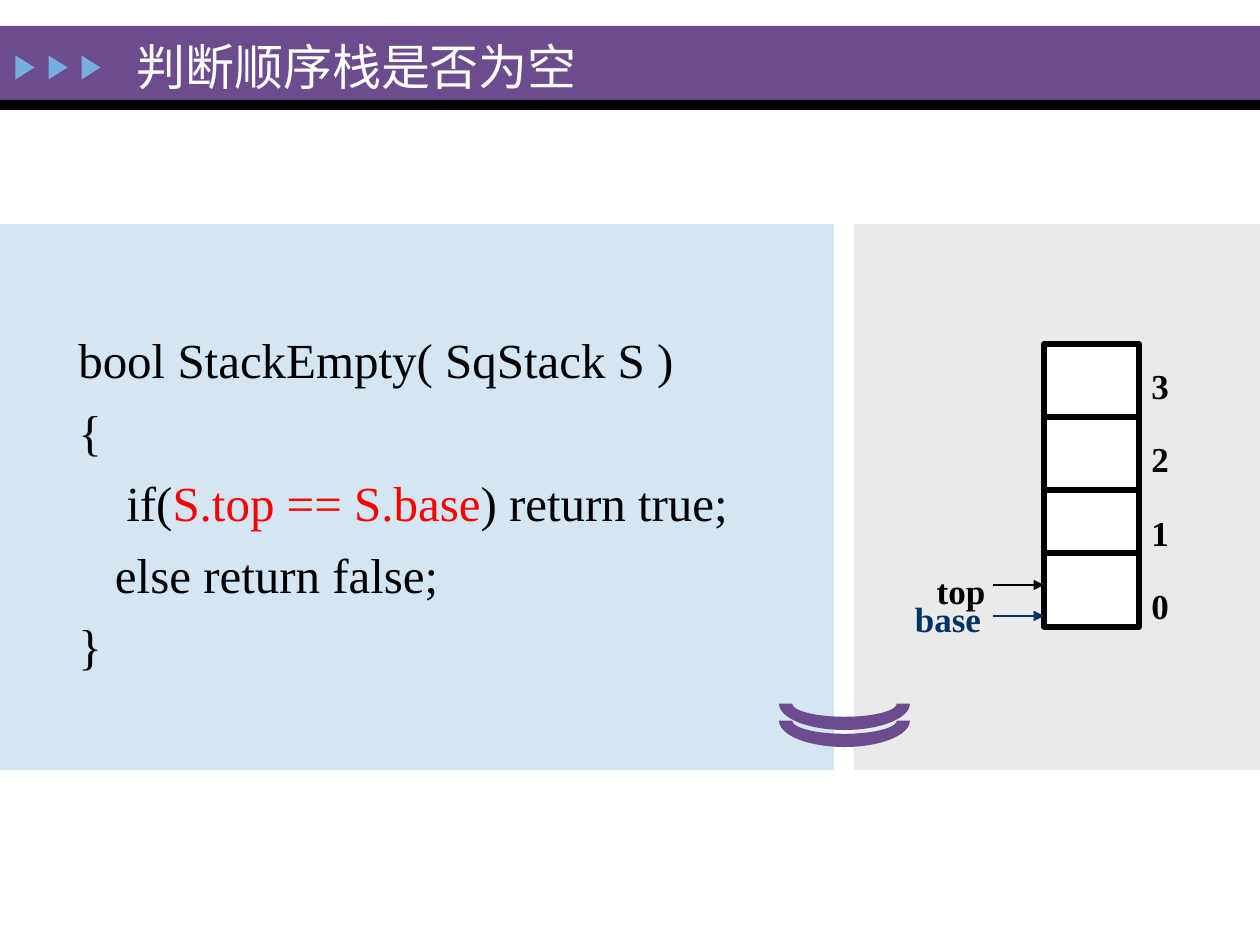
from pptx import Presentation
from pptx import util as u
from pptx.dml.color import RGBColor
from pptx.enum import shapes, text
from pptx.oxml.ns import qn
from lxml import etree

WIDE, HIGH = 1260, 945
FONT = "Times New Roman"
PAPER = RGBColor(0xFE, 0xFF, 0xFF)
WHITE = RGBColor(0xFF, 0xFF, 0xFF)
BLACK = RGBColor(0, 0, 0)
PURPLE = RGBColor(0x6C, 0x4C, 0x8F)
SKY = RGBColor(0x76, 0xAE, 0xDD)
PALE = RGBColor(0xD4, 0xE6, 0xF4)
GREY = RGBColor(0xEA, 0xEA, 0xEA)
RED = RGBColor(0xFF, 0, 0)
NAVY = RGBColor(0, 0x33, 0x66)
KIND = shapes.MSO_SHAPE

# Each code line is a list of (words, colour)
CODE = [
    [("bool StackEmpty( SqStack S )", BLACK)],
    [("{", BLACK)],
    [("\tif(", BLACK), ("S.top == S.base", RED), (") return true;", BLACK)],
    [("   else return false;", BLACK)],
    [("}", BLACK)],
]


def px(n):
    return u.Emu(round(n * 914400 / 126))


def add_shape(slide, kind, box, fill, line=None, turn=0):
    shape = slide.shapes.add_shape(kind, *map(px, box))
    shape.shadow.inherit = False
    shape.rotation = turn
    shape.fill.solid()
    shape.fill.fore_color.rgb = fill
    if line is None:
        shape.line.fill.background()
    else:
        shape.line.color.rgb = line
        shape.line.width = u.Pt(3)
    return shape


def add_line(slide, start, end, color=BLACK, width=3, arrow=False):
    line = slide.shapes.add_connector(
        shapes.MSO_CONNECTOR.STRAIGHT, *map(px, start + end))
    line.line.color.rgb = color
    line.line.width = u.Pt(width)
    if arrow:
        etree.SubElement(line.line._get_or_add_ln(), qn("a:tailEnd"),
                         type="triangle")
    etree.SubElement(line._element.spPr, qn("a:effectLst"))


def add_text(slide, box, lines, size=28, bold=False, align=None,
             anchor=text.MSO_ANCHOR.TOP, pad=6, gap=0, hang=0):
    frame = slide.shapes.add_textbox(*map(px, box)).text_frame
    frame.word_wrap = True
    frame.vertical_anchor = anchor
    frame.margin_top, frame.margin_bottom = px(pad), px(12 - pad)
    for i, parts in enumerate(lines):
        para = frame.paragraphs[0] if i == 0 else frame.add_paragraph()
        para.alignment = align
        if i:
            para.space_before = u.Pt(gap)
        if hang:
            props = para._p.get_or_add_pPr()
            props.set("marL", str(px(hang)))
            props.set("indent", str(-px(hang)))
        for words, color in parts:
            run = para.add_run()
            run.text = words
            run.font.name = FONT
            run.font.size = u.Pt(size)
            run.font.bold = bold
            run.font.color.rgb = color


def add_head(slide):
    add_shape(slide, KIND.RECTANGLE, (0, 26, WIDE, 74), PURPLE)
    add_shape(slide, KIND.RECTANGLE, (0, 100, WIDE, 10), BLACK)
    for i in range(3):
        add_shape(slide, KIND.ISOSCELES_TRIANGLE, (13 + 33 * i, 58, 24, 19),
                  SKY, turn=90)
    add_text(slide, (124, 30, 545, 71), [[("判断顺序栈是否为空", PAPER)]],
             anchor=text.MSO_ANCHOR.MIDDLE)


def add_stack(slide):
    left, right = 1044, 1139
    add_shape(slide, KIND.RECTANGLE, (left, 344, right - left, 283),
              WHITE, line=BLACK)
    for y in (417, 490, 553):
        add_line(slide, (left, y), (right, y))

    # Pointers into the stack
    for name, x, y, tip, color in (("base", 864, 587, 616, NAVY),
                                   ("top", 877, 559, 585, BLACK)):
        add_line(slide, (993, tip), (left, tip), color, 1.5, arrow=True)
        add_text(slide, (x, y, 168, 54), [[(name, color)]], size=20,
                 bold=True, align=text.PP_ALIGN.CENTER, pad=10)

    # Cell numbers, highest on top
    for i in range(4):
        add_text(slide, (right, 354 + 73.5 * i, 42, 54),
                 [[(str(3 - i), BLACK)]], size=20, bold=True, pad=10)


def main():
    deck = Presentation()
    deck.slide_width, deck.slide_height = px(WIDE), px(HIGH)
    slide = deck.slides.add_slide(deck.slide_layouts[6])
    slide.background.fill.solid()
    slide.background.fill.fore_color.rgb = PAPER

    add_head(slide)

    # Code panel and stack panel
    add_shape(slide, KIND.RECTANGLE, (0, 224, 834, 546), PALE)
    add_shape(slide, KIND.RECTANGLE, (854, 224, 406, 546), GREY)
    add_text(slide, (66, 324, 694, 333), CODE, gap=7.2, hang=48)
    add_stack(slide)

    # Clasp between the panels
    for y in (694, 677):
        add_shape(slide, KIND.BLOCK_ARC, (779, y, 131, 53), PURPLE, turn=180)

    deck.save("out.pptx")


if __name__ == "__main__":
    main()
